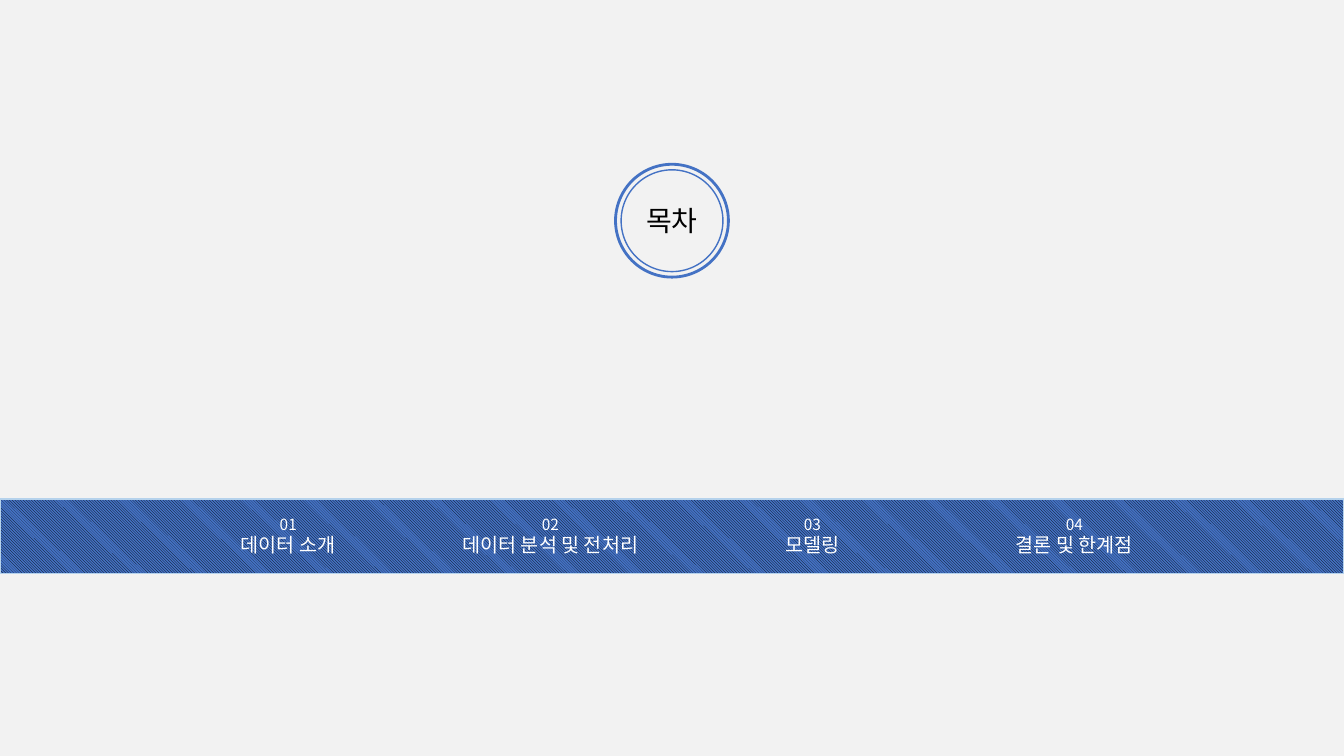
from lxml.etree import SubElement
from pptx import Presentation
from pptx.dml.color import RGBColor
from pptx.enum.dml import MSO_PATTERN as Pattern
from pptx.enum.shapes import MSO_SHAPE as Kind
from pptx.enum.text import MSO_ANCHOR as Anchor, MSO_AUTO_SIZE as Auto, PP_ALIGN as Align
from pptx.oxml.ns import qn
from pptx.util import Inches, Pt

COLS, ROWS = 40, 22.5
FONT = "Noto Sans CJK KR"
GREY, BLUE, PALE, BLACK, WHITE = "F2F2F2", "4472C4", "B5D2EC", "000000", "FFFFFF"


def tint(code):
    return RGBColor.from_string(code)


class Deck:
    """Style and current slide; lengths are grid columns and rows."""

    def __init__(self):
        self.show = Presentation()
        self.show.slide_width, self.show.slide_height = Inches(13.33), Inches(7.5)
        self.unit = self.show.slide_width / COLS
        self.slide = self.show.slides.add_slide(self.show.slide_layouts[5])

    def box(self, mid, row, wide, high):
        """Place a box by its centre."""
        return [round(n * self.unit) for n in (mid - wide / 2, row - high / 2, wide, high)]

    def shape(self, kind, place, fill, line=None, width=1, turn=0):
        item = self.slide.shapes.add_shape(kind, *self.box(*place))
        item.shadow.inherit = False
        item.rotation = turn
        item.fill.solid()
        item.fill.fore_color.rgb = tint(fill)
        if line:
            item.line.color.rgb = tint(line)
            item.line.width = Pt(width)
        else:
            item.line.fill.background()
        return item

    def hatch(self, item, fore, back):
        item.fill.patterned()
        item.fill.pattern = Pattern.LIGHT_DOWNWARD_DIAGONAL
        item.fill.fore_color.rgb = tint(fore)
        item.fill.back_color.rgb = tint(back)

    def label(self, item, lines, color):
        frame = item.text_frame
        form = {"word_wrap": True, "auto_size": Auto.SHAPE_TO_FIT_TEXT,
                "vertical_anchor": Anchor.TOP}
        for key, value in form.items():
            setattr(frame, key, value)
        for i, (text, size) in enumerate(lines):
            para = frame.add_paragraph() if i else frame.paragraphs[0]
            para.alignment = Align.CENTER
            run = para.add_run()
            run.text = text
            for key, value in {"size": Pt(size), "name": FONT, "bold": False}.items():
                setattr(run.font, key, value)
            run.font.color.rgb = tint(color)
            # Hangul takes the East Asian face
            SubElement(run._r.get_or_add_rPr(), qn("a:ea"), typeface=FONT)

    def text(self, place, lines, color):
        self.label(self.slide.shapes.add_textbox(*self.box(*place)), lines, color)

    def title(self, place, text, size, color):
        item = self.slide.shapes.title
        item.left, item.top, item.width, item.height = self.box(*place)
        self.label(item, [(text, size)], color)
        item.element.getparent().append(item.element)  # bring to front


def main():
    deck = Deck()
    mid = COLS / 2

    # Backdrop
    deck.shape(Kind.RECTANGLE, (mid, ROWS / 2, COLS, ROWS), GREY)

    # Title in a double ring
    ring = 6.57
    for size, width in ((3.36, 2), (3.03, 1)):
        deck.shape(Kind.OVAL, (mid, ring, size, size), GREY, BLUE, width, 270)
    deck.title((mid, ring, 3.03, 1.32), "목차", 20, BLACK)

    # Hatched band with the contents
    band = 15.96
    bar = deck.shape(Kind.RECTANGLE, (mid, band, COLS, 2.22), BLUE, PALE)
    deck.hatch(bar, BLACK, BLUE)
    parts = (("데이터 소개", 5.46), ("데이터 분석 및 전처리", 6.36),
             ("모델링", 5.46), ("결론 및 한계점", 5.46))
    for i, (name, wide) in enumerate(parts):
        deck.text((8.58 + 7.8 * i, band, wide, 1.56),
                  [(f"{i + 1:02}", 11), (name, 14)], WHITE)

    deck.show.save("out.pptx")


if __name__ == "__main__":
    main()
